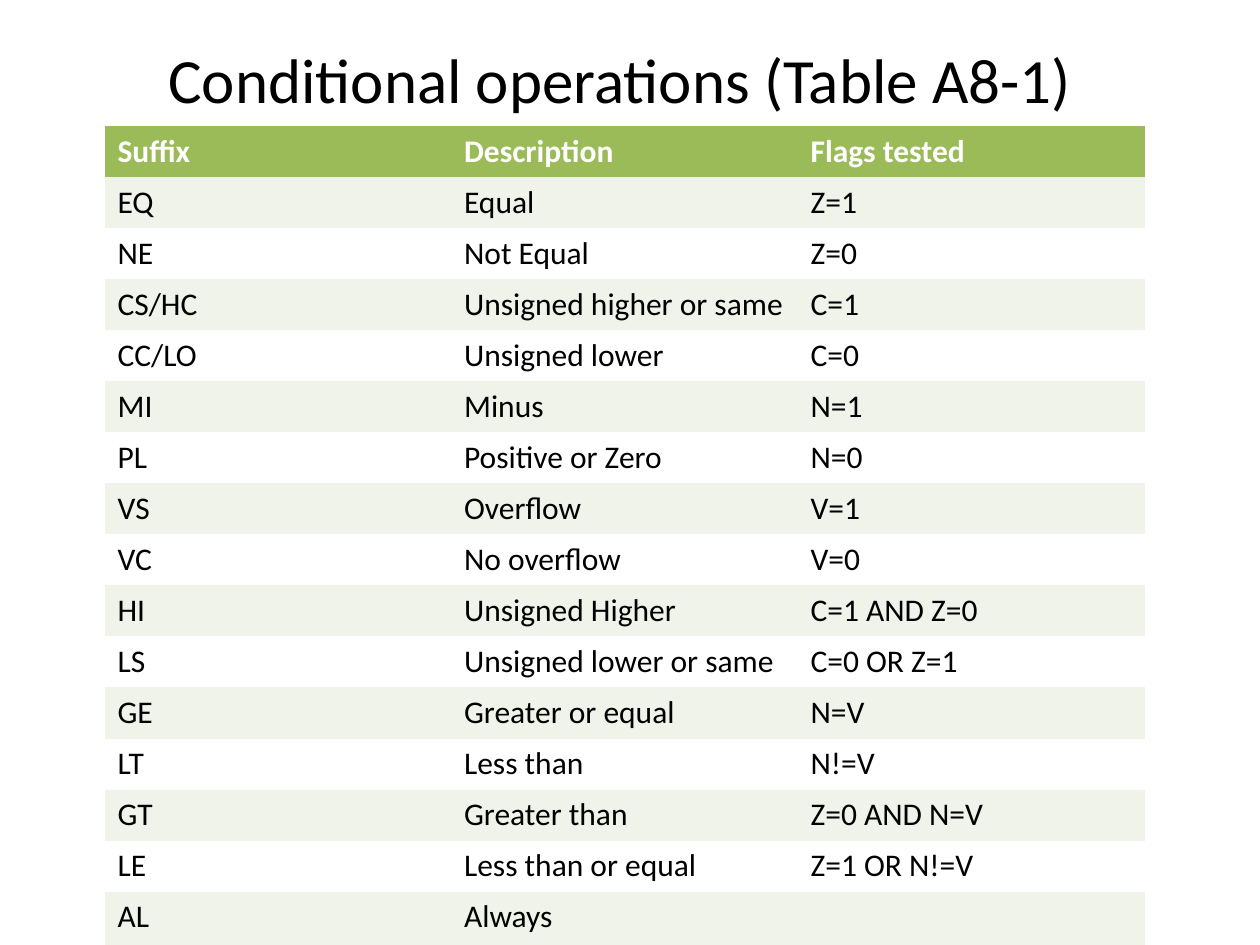
from pptx import Presentation
from pptx.dml.color import RGBColor
from pptx.enum.text import MSO_ANCHOR, PP_ALIGN
from pptx.util import Inches, Pt

CENTER = PP_ALIGN.CENTER
MIDDLE = MSO_ANCHOR.MIDDLE
BLACK = RGBColor(0x00, 0x00, 0x00)
WHITE = RGBColor(0xFF, 0xFF, 0xFF)
GREEN = RGBColor(0x9B, 0xBB, 0x59)
PALE_GREEN = RGBColor(0xEF, 0xF3, 0xE9)

SLIDE_WIDTH = Inches(10)
SLIDE_HEIGHT = Inches(7.5)
TABLE_HEIGHT = Inches(6.55)
LAST_ROW_HEIGHT = Inches(0.47)
COLUMN_WIDTH = Inches(2.75)
PLAIN_TABLE_STYLE = "{2D5ABB26-0587-4C30-8999-92F81FD0307C}"

TITLE_FORMAT = {"name": "Calibri", "size": Pt(36), "bold": False}
CELL_FORMAT = {"name": "Calibri", "size": Pt(18), "bold": False}
HEADER_FORMAT = {**CELL_FORMAT, "bold": True}

CONDITIONS = [
    ("Suffix", "Description", "Flags tested"),
    ("EQ", "Equal", "Z=1"),
    ("NE", "Not Equal", "Z=0"),
    ("CS/HC", "Unsigned higher or same", "C=1"),
    ("CC/LO", "Unsigned lower", "C=0"),
    ("MI", "Minus", "N=1"),
    ("PL", "Positive or Zero", "N=0"),
    ("VS", "Overflow", "V=1"),
    ("VC", "No overflow", "V=0"),
    ("HI", "Unsigned Higher", "C=1 AND Z=0"),
    ("LS", "Unsigned lower or same", "C=0 OR Z=1"),
    ("GE", "Greater or equal", "N=V"),
    ("LT", "Less than", "N!=V"),
    ("GT", "Greater than", "Z=0 AND N=V"),
    ("LE", "Less than or equal", "Z=1 OR N!=V"),
    ("AL", "Always", ""),
]


def write_text(para, text, font_format, color):
    """Add one formatted span to a paragraph."""
    span = para.add_run()
    span.text = text
    for name, value in font_format.items():
        setattr(span.font, name, value)
    span.font.color.rgb = color


def add_title(page, text):
    """Add the centred heading across the top of the page."""
    box = page.shapes.add_textbox(Inches(0.42), 0, Inches(9), Inches(1.25))
    frame = box.text_frame
    frame.word_wrap = True
    frame.vertical_anchor = MIDDLE
    para = frame.paragraphs[0]
    para.alignment = CENTER
    write_text(para, text, TITLE_FORMAT, BLACK)


def fill_cell(cell, text, row_index):
    """Colour a cell by its row and write its text."""
    is_header = row_index == 0
    band = PALE_GREEN if row_index % 2 else WHITE
    cell.fill.solid()
    cell.fill.fore_color.rgb = GREEN if is_header else band
    if text:
        font_format = HEADER_FORMAT if is_header else CELL_FORMAT
        color = WHITE if is_header else BLACK
        write_text(cell.text_frame.paragraphs[0], text, font_format, color)


def add_condition_table(page, rows):
    """Add the banded table with equal columns and a taller last row."""
    column_count = len(rows[0])
    table = page.shapes.add_table(
        len(rows), column_count, SLIDE_WIDTH // 12, Inches(1),
        COLUMN_WIDTH * column_count, TABLE_HEIGHT,
    ).table
    table._tbl.tblPr.find("{*}tableStyleId").text = PLAIN_TABLE_STYLE
    row_height = (TABLE_HEIGHT - LAST_ROW_HEIGHT) // (len(rows) - 1)
    for row_index, texts in enumerate(rows):
        table.rows[row_index].height = row_height
        for column_index, text in enumerate(texts):
            fill_cell(table.cell(row_index, column_index), text, row_index)
    table.rows[len(rows) - 1].height = LAST_ROW_HEIGHT


def main():
    """Build the slide and save the deck."""
    deck = Presentation()
    deck.slide_width, deck.slide_height = SLIDE_WIDTH, SLIDE_HEIGHT
    page = deck.slides.add_slide(deck.slide_layouts[6])
    add_title(page, "Conditional operations (Table A8-1)")
    add_condition_table(page, CONDITIONS)
    deck.save("out.pptx")


if __name__ == "__main__":
    main()
